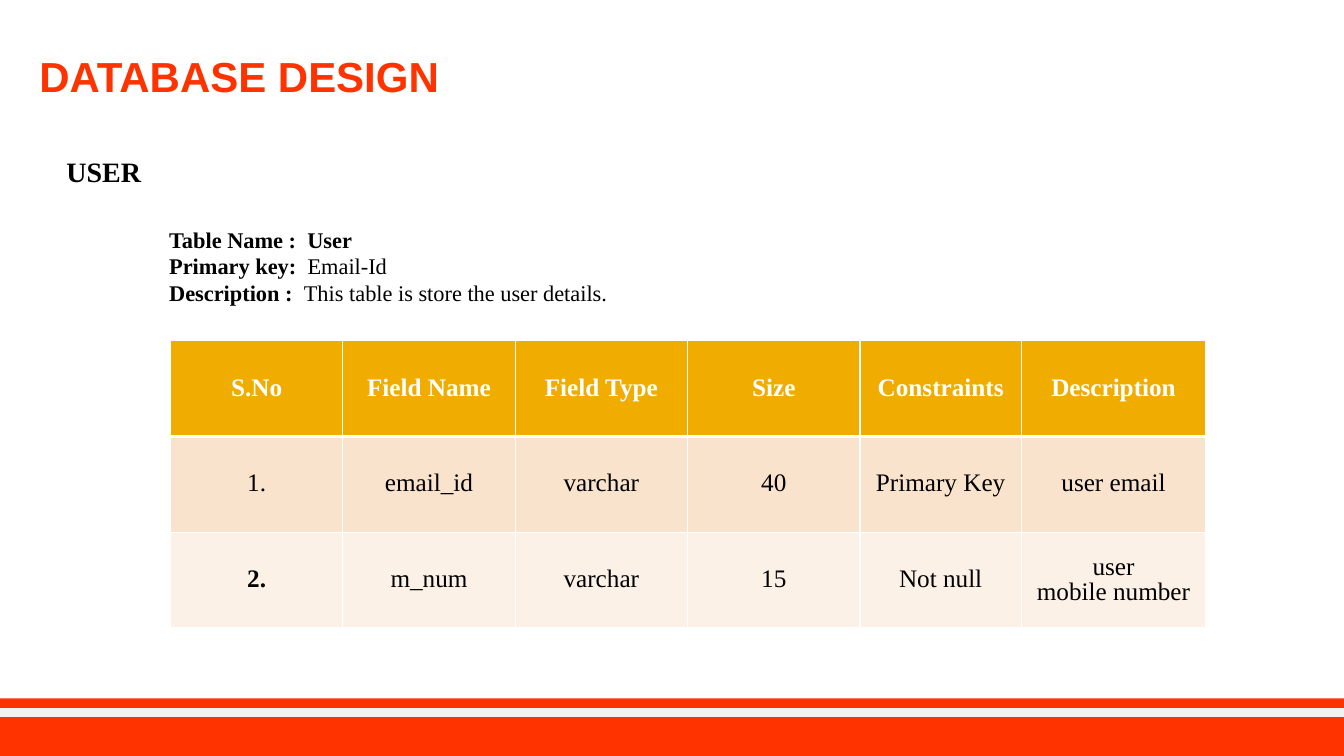
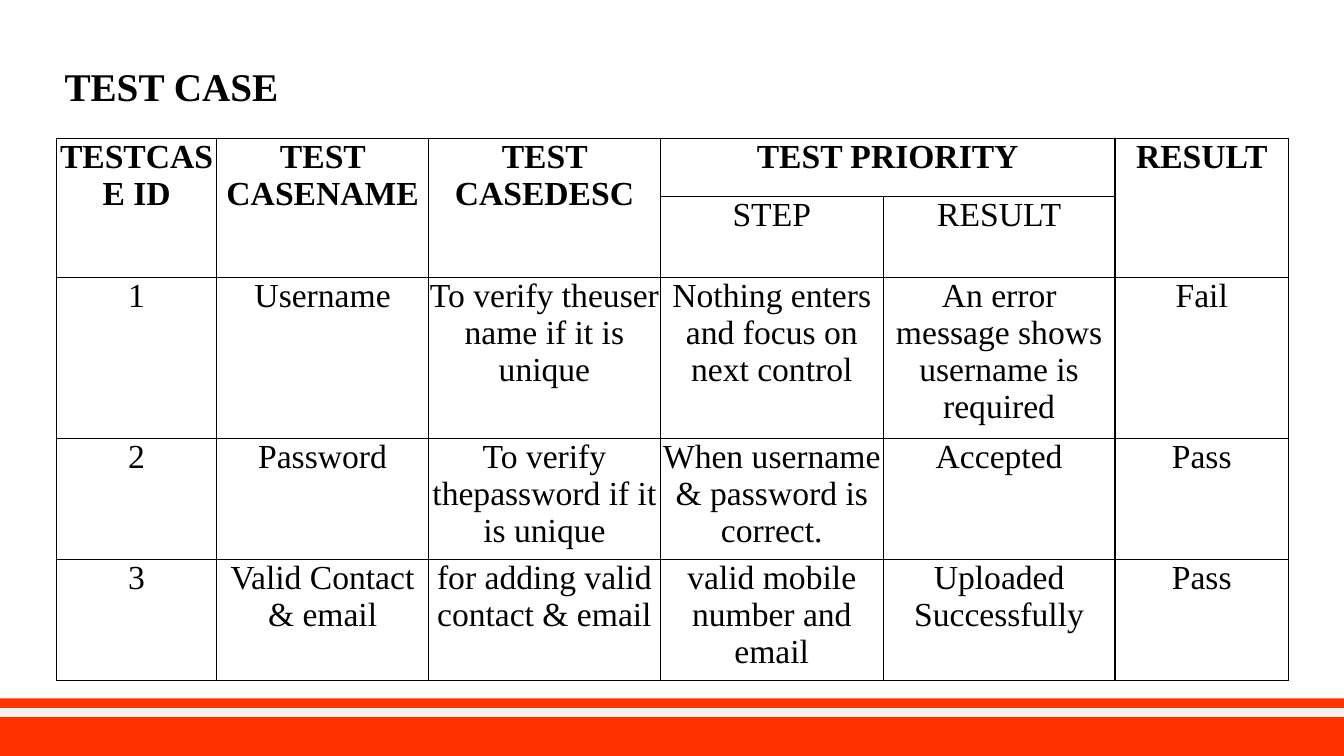
from lxml.etree import SubElement
from pptx import Presentation
from pptx.dml.color import RGBColor
from pptx.enum.shapes import MSO_CONNECTOR, MSO_SHAPE
from pptx.enum.text import MSO_ANCHOR, MSO_AUTO_SIZE, PP_ALIGN
from pptx.oxml.ns import qn
from pptx.util import Inches, Pt

COLORS = {
    "accent": "FF3300",
    "stripe": "F2F2F2",
    "header": "F0AD00",
    "odd_row": "F9E3CC",
    "even_row": "FCF1E7",
    "white": "FFFFFF",
    "black": "000000",
    "rule": "080000",
}
SERIF = "Times New Roman"


def write_text(frame, lines, size, color="black", font=SERIF, align=PP_ALIGN.LEFT, spacing=None):
    """Fill a frame; each line is a list of (text, bold) spans."""
    frame.word_wrap = True
    for index, spans in enumerate(lines):
        para = frame.paragraphs[0] if index == 0 else frame.add_paragraph()
        para.alignment = align
        para.line_spacing = spacing
        for text, bold in spans:
            span = para.add_run()
            span.text = text
            look = {"name": font, "size": Pt(size), "bold": bold}
            for name, value in look.items():
                setattr(span.font, name, value)
            span.font.color.rgb = RGBColor.from_string(COLORS[color])


def add_plain_table(page, left, top, widths, heights, rule, heavy_below=None):
    """Add an unstyled table with 1 pt rules, and a 3 pt one below row heavy_below."""
    frame = page.shapes.add_table(
        len(heights), len(widths), Inches(left), Inches(top),
        Inches(sum(widths)), Inches(sum(heights)))
    table = frame.table
    table.first_row = table.horz_banding = False
    for column, width in zip(table.columns, widths):
        column.width = Inches(width)
    for row, height in zip(table.rows, heights):
        row.height = Inches(height)
    for row_index in range(len(heights)):
        for column_index in range(len(widths)):
            cell = table.cell(row_index, column_index)
            properties = cell._tc.get_or_add_tcPr()
            for side in ("lnL", "lnR", "lnT", "lnB"):
                heavy = (side, row_index) == ("lnB", heavy_below) or (
                    heavy_below is not None and (side, row_index) == ("lnT", heavy_below + 1))
                line = SubElement(properties, qn(f"a:{side}"), w=str(Pt(3 if heavy else 1)))
                fill = SubElement(line, qn("a:solidFill"))
                SubElement(fill, qn("a:srgbClr"), val=COLORS[rule])
            cell.fill.background()
    return table


deck = Presentation()
deck.slide_width = Inches(13.33)
deck.slide_height = Inches(7.5)
title_only = deck.slide_layouts[5]
design_page = deck.slides.add_slide(title_only)
test_page = deck.slides.add_slide(title_only)

# Footer band, drawn once and moved to the master
band = design_page.shapes.add_shape(
    MSO_SHAPE.RECTANGLE, Inches(-0.02), Inches(6.93), Inches(13.36), Inches(0.57))
band.shadow.inherit = False
band.fill.solid()
band.fill.fore_color.rgb = RGBColor.from_string(COLORS["accent"])
band.line.fill.background()
stripe = design_page.shapes.add_connector(
    MSO_CONNECTOR.STRAIGHT, Inches(-0.02), Inches(7.07), Inches(13.33), Inches(7.07))
stripe.line.color.rgb = RGBColor.from_string(COLORS["stripe"])
stripe.line.width = Pt(6)
SubElement(stripe.element.spPr, qn("a:effectLst"))
for part in (band, stripe):
    deck.slide_master.shapes.element.append(part.element)

# Titles
titles = [
    (design_page, "DATABASE DESIGN", (0.25, 0.37, 10.56, 0.83), (0.14, 0.07),
     {"size": 30, "color": "accent", "font": "Arial", "spacing": 0.9}),
    (test_page, "TEST CASE", (0.54, 0.57, 3.85, 0.57), (0.1, 0.05), {"size": 28}),
]
for page, text, place, (inset_x, inset_y), style in titles:
    title = page.shapes.title
    title.left, title.top, title.width, title.height = map(Inches, place)
    frame = title.text_frame
    settings = {
        "margin_left": Inches(inset_x), "margin_right": Inches(inset_x),
        "margin_top": Inches(inset_y), "margin_bottom": Inches(inset_y),
        "vertical_anchor": MSO_ANCHOR.MIDDLE, "auto_size": MSO_AUTO_SIZE.NONE,
    }
    for name, value in settings.items():
        setattr(frame, name, value)
    write_text(frame, [[(text, True)]], **style)

# Database design: notes above the table
notes = [
    ((0.56, 1.48, 1.7, 0.44), 20, [[("USER", True)]]),
    ((1.58, 2.19, 7.4, 0.91), 16, [
        [("Table Name :  User", True)],
        [("Primary key:  ", True), ("Email-Id", False)],
        [("Description :  ", True), ("This table is store the user details.", False)],
    ]),
]
for place, size, lines in notes:
    box = design_page.shapes.add_textbox(*map(Inches, place))
    write_text(box.text_frame, lines, size)

# Database design: field table
fields = [
    ["S.No", "Field Name", "Field Type", "Size", "Constraints", "Description"],
    ["1.", "email_id", "varchar", "40", "Primary Key", "user email"],
    ["2.", "m_num", "varchar", "15", "Not null", "user\nmobile number"],
]
row_fills = ["header", "odd_row", "even_row"]
field_table = add_plain_table(
    design_page, 1.69, 3.38, [1.71] * 4 + [1.6, 1.83], [0.95] * 3, "white", heavy_below=0)
for row_index, texts in enumerate(fields):
    for column_index, text in enumerate(texts):
        cell = field_table.cell(row_index, column_index)
        cell.fill.solid()
        cell.fill.fore_color.rgb = RGBColor.from_string(COLORS[row_fills[row_index]])
        cell.vertical_anchor = MSO_ANCHOR.MIDDLE
        bold = row_index == 0 or text == "2."
        write_text(cell.text_frame, [[(line, bold)] for line in text.split("\n")], 18,
                   color="white" if row_index == 0 else "black",
                   align=PP_ALIGN.CENTER, spacing=0.9)

# Test cases: None marks a cell covered by a merge
tests = [
    ["TESTCASE ID", "TEST CASENAME", "TEST CASEDESC", "TEST PRIORITY", None, "RESULT"],
    [None, None, None, "STEP", "RESULT", None],
    ["1", "Username", "To verify theuser name if it is unique",
     "Nothing enters and focus on next control",
     "An error message shows username is required", "Fail"],
    ["2", "Password", "To verify thepassword if it is unique",
     "When username & password is correct.", "Accepted", "Pass"],
    ["3", "Valid Contact\n& email", "for adding valid\ncontact & email",
     "valid mobile number and email", "Uploaded\nSuccessfully", "Pass"],
]
test_table = add_plain_table(
    test_page, 0.56, 1.37, [1.59, 2.1, 2.3, 2.21, 2.3, 1.72], [0.58, 0.8, 1.6, 1.2, 1.2], "rule")
for column_index in (0, 1, 2, 5):
    test_table.cell(0, column_index).merge(test_table.cell(1, column_index))
test_table.cell(0, 3).merge(test_table.cell(0, 4))
for row_index, texts in enumerate(tests):
    for column_index, text in enumerate(texts):
        if text is None:
            continue
        cell = test_table.cell(row_index, column_index)
        for side in ("left", "right", "top", "bottom"):
            setattr(cell, f"margin_{side}", 0)
        write_text(cell.text_frame, [[(line, row_index == 0)] for line in text.split("\n")], 24,
                   align=PP_ALIGN.CENTER)

deck.save("out.pptx")
